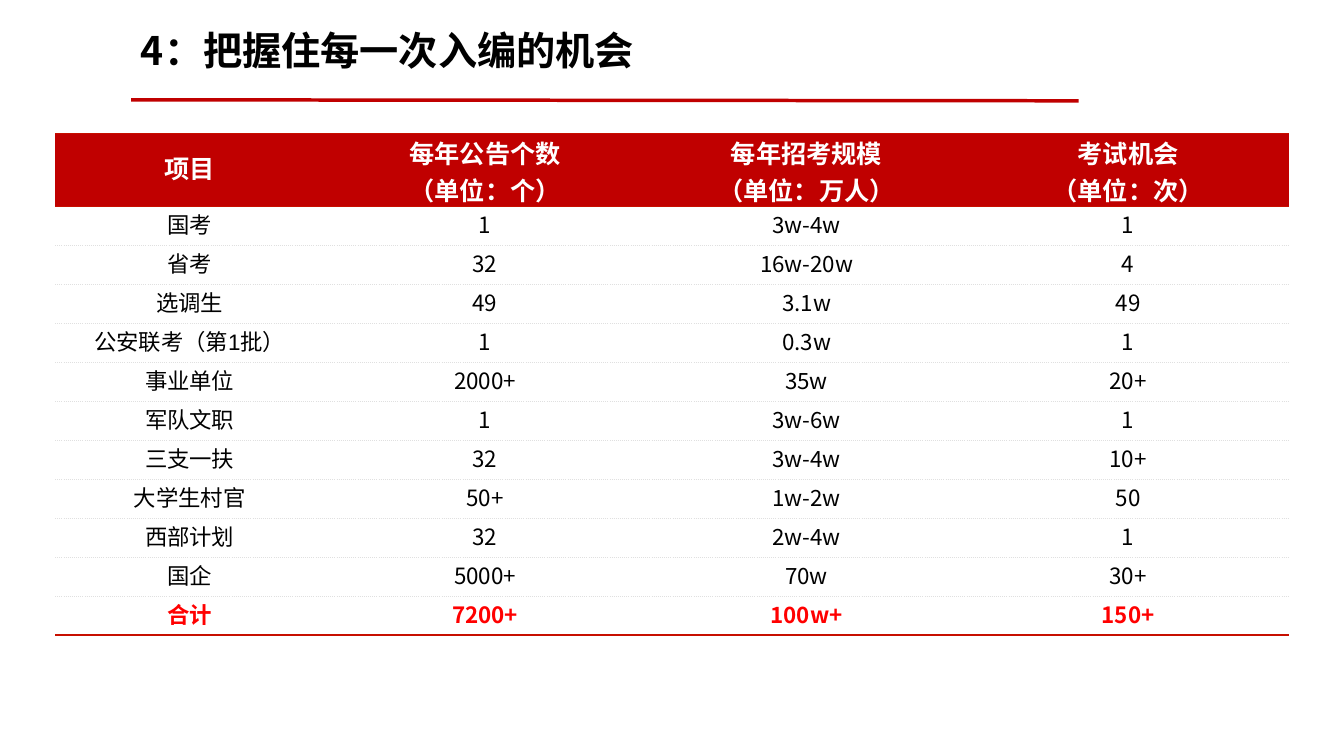
from lxml.etree import SubElement
from pptx import Presentation
from pptx.dml.color import RGBColor
from pptx.enum.shapes import MSO_CONNECTOR as Connector
from pptx.enum.text import MSO_ANCHOR as Anchor, PP_ALIGN as Align
from pptx.oxml.ns import qn
from pptx.util import Pt

HEADER = ["项目", "每年公告个数\n（单位：个）", "每年招考规模\n（单位：万人）", "考试机会\n（单位：次）"]
EXAMS = [
    ["国考", "1", "3w-4w", "1"],
    ["省考", "32", "16w-20w", "4"],
    ["选调生", "49", "3.1w", "49"],
    ["公安联考（第1批）", "1", "0.3w", "1"],
    ["事业单位", "2000+", "35w", "20+"],
    ["军队文职", "1", "3w-6w", "1"],
    ["三支一扶", "32", "3w-4w", "10+"],
    ["大学生村官", "50+", "1w-2w", "50"],
    ["西部计划", "32", "2w-4w", "1"],
    ["国企", "5000+", "70w", "30+"],
]
TOTAL = ["合计", "7200+", "100w+", "150+"]

HEADER_STYLE = {"size": Pt(18), "bold": True, "color": "FFFFFF"}
BODY_STYLE = {"size": Pt(16), "bold": False, "color": "000000"}
TOTAL_STYLE = {"size": Pt(16), "bold": True, "color": "FF0000"}
SOLID_RULE = ("C70F00", 1, "solid")
DOTTED_RULE = ("E0E0E0", 0.5, "sysDot")


def rgb(value):
    return RGBColor.from_string(value)


class Page:
    latin = "Arial"
    chinese = "Noto Sans CJK SC"
    accent = "C00000"

    def __init__(self, deck):
        self.slide = deck.slides.add_slide(deck.slide_layouts[6])

    def fill_text(self, frame, text, font, style, align):
        """Fill a text frame with one paragraph for each line of text."""
        for number, line in enumerate(text.split("\n")):
            para = frame.paragraphs[0] if number == 0 else frame.add_paragraph()
            para.alignment = align
            span = para.add_run()
            span.text = line
            span.font.name = font
            for name, value in style.items():
                if name == "color":
                    span.font.color.rgb = rgb(value)
                else:
                    setattr(span.font, name, value)
            SubElement(span._r.get_or_add_rPr(), qn("a:ea"), typeface=self.chinese)

    def title(self, text, left, top, width, height):
        box = self.slide.shapes.add_textbox(Pt(left), Pt(top), Pt(width), Pt(height))
        frame = box.text_frame
        frame.word_wrap = True
        frame.margin_top = Pt(2)
        style = {"size": Pt(28), "bold": True, "color": "000000"}
        self.fill_text(frame, text, self.chinese, style, Align.LEFT)
        frame.paragraphs[0].line_spacing = 0.9

    def rule(self, *ends):
        line = self.slide.shapes.add_connector(Connector.STRAIGHT, *map(Pt, ends))
        line.line.color.rgb = rgb(self.accent)
        line.line.width = Pt(2.5)
        SubElement(line._element.spPr, qn("a:effectLst"))

    def border(self, cell, side, rule=None):
        props = cell._tc.get_or_add_tcPr()
        if rule is None:
            SubElement(SubElement(props, qn("a:" + side), w="0"), qn("a:noFill"))
            return
        color, width, dash = rule
        edge = SubElement(props, qn("a:" + side), w=str(Pt(width)))
        SubElement(SubElement(edge, qn("a:solidFill")), qn("a:srgbClr"), val=color)
        SubElement(edge, qn("a:prstDash"), val=dash)

    def cell(self, cell, text, font, style, above, below, fill=None):
        margins = {"margin_left": 0.75, "margin_right": 0.75, "margin_top": 0.75, "margin_bottom": 3.6}
        for name, value in margins.items():
            setattr(cell, name, Pt(value))
        cell.vertical_anchor = Anchor.MIDDLE
        self.fill_text(cell.text_frame, text, font, style, Align.CENTER)
        for side, rule in {"lnL": None, "lnR": None, "lnT": above, "lnB": below}.items():
            self.border(cell, side, rule)
        if fill:
            cell.fill.solid()
            cell.fill.fore_color.rgb = rgb(fill)
        else:
            cell.fill.background()

    def table(self, rows, left, top, widths, heights):
        frame = self.slide.shapes.add_table(
            len(rows), len(widths), Pt(left), Pt(top), Pt(sum(widths)), Pt(sum(heights)))
        table = frame.table
        table.first_row = table.horz_banding = False
        for column, width in zip(table.columns, widths):
            column.width = Pt(width)
        last = len(rows) - 1
        styles = {0: HEADER_STYLE, last: TOTAL_STYLE}
        for r, texts in enumerate(rows):
            table.rows[r].height = Pt(heights[r])
            above = SOLID_RULE if r <= 1 else DOTTED_RULE
            below = SOLID_RULE if r in (0, last) else DOTTED_RULE
            for c, text in enumerate(texts):
                font = self.latin if r == 0 or c == 0 else self.chinese
                self.cell(table.cell(r, c), text, font, styles.get(r, BODY_STYLE),
                          above, below, self.accent if r == 0 else None)


def main():
    deck = Presentation()
    deck.slide_width, deck.slide_height = Pt(960), Pt(540)
    page = Page(deck)
    page.rule(93.6, 71.3, 770.4, 72)
    page.title("4：把握住每一次入编的机会", 93.6, 20.9, 676.8, 56.2)
    rows = [HEADER, *EXAMS, TOTAL]
    page.table(rows, 39.4, 95.4, [192.2] + [229.7] * 3, [52] + [27.85] * (len(rows) - 1))
    deck.save("out.pptx")


if __name__ == "__main__":
    main()
